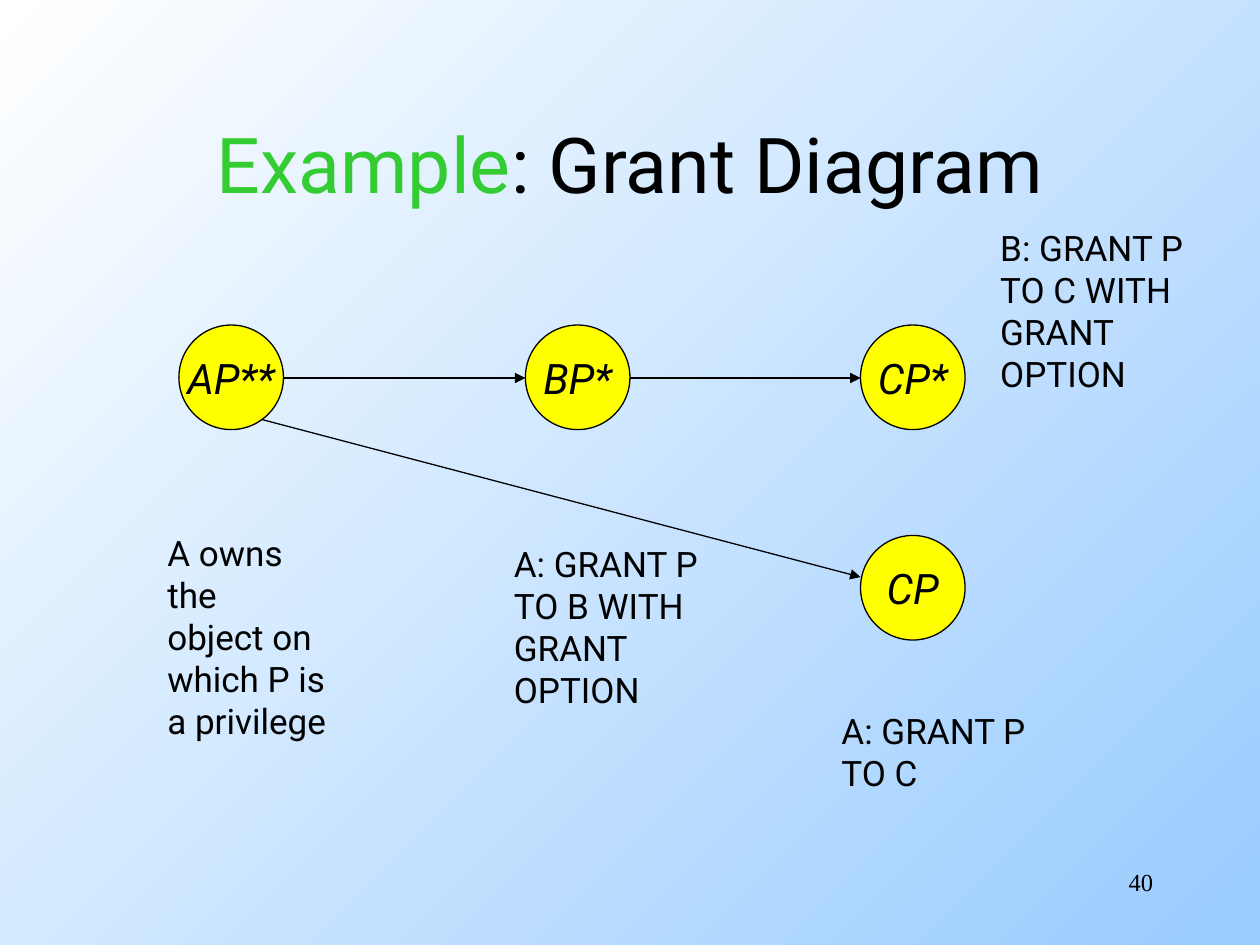
from dataclasses import dataclass

from lxml import etree
from pptx import Presentation
from pptx.dml.color import RGBColor
from pptx.enum.shapes import MSO_CONNECTOR as Connector, MSO_SHAPE as Shape
from pptx.enum.text import MSO_ANCHOR as Anchor, MSO_AUTO_SIZE as AutoSize, PP_ALIGN as Align
from pptx.oxml.ns import qn
from pptx.slide import Slide
from pptx.util import Inches, Pt

COLORS = {
    "text": "000000",
    "accent": "33CC33",
    "node": "FFFF00",
    "light": "FFFFFF",
    "sky": "99CCFF",
}
FONT = "Roboto"
NODE_SIZE = 0.83


@dataclass
class Node:
    label: str
    left: float
    top: float


@dataclass
class Arrow:
    start: tuple[float, float]
    end: tuple[float, float]


@dataclass
class Note:
    lines: list[str]
    left: float
    top: float
    width: float
    height: float


NODES = [
    Node("AP**", 1.42, 2.58),
    Node("BP*", 4.17, 2.58),
    Node("CP*", 6.83, 2.58),
    Node("CP", 6.83, 4.25),
]
ARROWS = [
    Arrow((2.25, 3), (4.17, 3)),
    Arrow((5, 3), (6.83, 3)),
    Arrow((2.08, 3.33), (6.83, 4.58)),
]
NOTES = [
    Note(["A owns the", "object on", "which P is", "a privilege"], 1.23, 4.17, 1.5, 1.43),
    Note(["A: GRANT P", "TO B WITH", "GRANT OPTION"], 3.98, 4.26, 2.1, 1.1),
    Note(["B: GRANT P", "TO C WITH", "GRANT OPTION"], 7.84, 1.75, 2.1, 1.1),
    Note(["A: GRANT P", "TO C"], 6.58, 5.58, 1.7, 0.77),
]


def color(name: str) -> RGBColor:
    return RGBColor.from_string(COLORS[name])


def style_font(font, size: float, name: str = FONT, italic: bool = False) -> None:
    font.name = name
    font.size = Pt(size)
    font.italic = italic
    font.color.rgb = color("text")


def add_node(slide: Slide, node: Node) -> None:
    shape = slide.shapes.add_shape(
        Shape.OVAL, Inches(node.left), Inches(node.top), Inches(NODE_SIZE), Inches(NODE_SIZE)
    )
    shape.shadow.inherit = False
    shape.fill.solid()
    shape.fill.fore_color.rgb = color("node")
    shape.line.color.rgb = color("text")
    shape.line.width = Pt(0.75)
    frame = shape.text_frame
    frame.text = node.label
    frame.word_wrap = False
    frame.vertical_anchor = Anchor.MIDDLE
    paragraph = frame.paragraphs[0]
    paragraph.alignment = Align.CENTER
    style_font(paragraph.font, 24, italic=True)


def add_arrow(slide: Slide, arrow: Arrow) -> None:
    points = [Inches(value) for value in (*arrow.start, *arrow.end)]
    connector = slide.shapes.add_connector(Connector.STRAIGHT, *points)
    connector.line.color.rgb = color("text")
    connector.line.width = Pt(0.75)
    line = connector.line._get_or_add_ln()
    etree.SubElement(line, qn("a:tailEnd"), type="triangle")
    etree.SubElement(connector._element.spPr, qn("a:effectLst"))


def add_note(slide: Slide, note: Note) -> None:
    box = slide.shapes.add_textbox(
        Inches(note.left), Inches(note.top), Inches(note.width), Inches(note.height)
    )
    frame = box.text_frame
    frame.word_wrap = True
    frame.auto_size = AutoSize.SHAPE_TO_FIT_TEXT
    frame.text = "\n".join(note.lines)
    for paragraph in frame.paragraphs:
        style_font(paragraph.font, 20)


def set_background(slide: Slide) -> None:
    fill = slide.background.fill
    fill.gradient()
    fill.gradient_angle = 315
    for stop, position, name in zip(fill.gradient_stops, (0, 1), ("light", "sky")):
        stop.position = position
        stop.color.rgb = color(name)


def set_title(slide: Slide) -> None:
    title = slide.shapes.title
    title.left, title.top = Inches(0.75), Inches(0.67)
    title.width, title.height = Inches(8.5), Inches(1.25)
    frame = title.text_frame
    frame.auto_size = AutoSize.NONE
    frame.vertical_anchor = Anchor.MIDDLE
    paragraph = frame.paragraphs[0]
    paragraph.alignment = Align.CENTER
    for text, name in (("Example", "accent"), (": Grant Diagram", "text")):
        run = paragraph.add_run()
        run.text = text
        style_font(run.font, 44)
        run.font.color.rgb = color(name)


def add_page_number(slide: Slide, number: str) -> None:
    box = slide.shapes.add_textbox(Inches(7.17), Inches(6.83), Inches(2.08), Inches(0.5))
    box.text_frame.word_wrap = True
    box.text_frame.text = number
    paragraph = box.text_frame.paragraphs[0]
    paragraph.alignment = Align.RIGHT
    style_font(paragraph.font, 14, "Times New Roman")


presentation = Presentation()
presentation.slide_width, presentation.slide_height = Inches(10), Inches(7.5)
slide = presentation.slides.add_slide(presentation.slide_layouts[5])

# Frame of the slide
set_background(slide)
set_title(slide)
add_page_number(slide, "40")

# Grant diagram
for node in NODES:
    add_node(slide, node)
for arrow in ARROWS:
    add_arrow(slide, arrow)
for note in NOTES:
    add_note(slide, note)

presentation.save("out.pptx")
